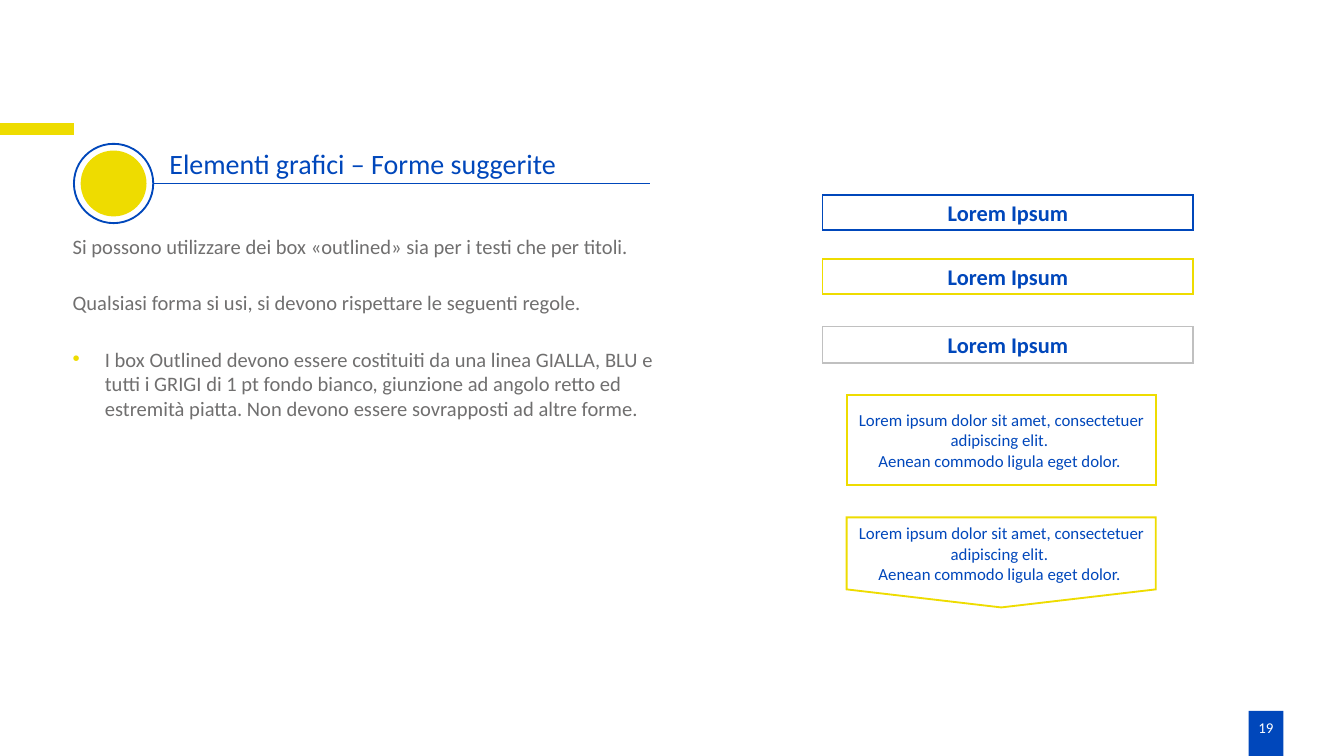
from lxml.etree import SubElement
from pptx import Presentation
from pptx.dml.color import RGBColor
from pptx.enum.shapes import MSO_CONNECTOR, MSO_SHAPE
from pptx.enum.text import MSO_ANCHOR, PP_ALIGN
from pptx.oxml.ns import qn
from pptx.util import Inches, Pt

BLUE = RGBColor(0x00, 0x47, 0xBB)
YELLOW = RGBColor(0xEE, 0xDC, 0x00)
GREY = RGBColor(0xC0, 0xC0, 0xC0)
TEXT_GREY = RGBColor(0x70, 0x6F, 0x6F)
WHITE = RGBColor(0xFF, 0xFF, 0xFF)

INTRO = [
    "Si possono utilizzare dei box «outlined» sia per i testi che per titoli.",
    "Qualsiasi forma si usi, si devono rispettare le seguenti regole.",
]
RULE = ("I box Outlined devono essere costituiti da una linea GIALLA, BLU e tutti i GRIGI "
        "di 1 pt fondo bianco, giunzione ad angolo retto ed estremità piatta. "
        "Non devono essere sovrapposti ad altre forme.")
CALLOUT = ["Lorem ipsum dolor sit amet, consectetuer adipiscing elit. ",
           "Aenean commodo ligula eget dolor. "]


def add_shape(slide, kind, box, fill=None, outline=None):
    shape = slide.shapes.add_shape(kind, *map(Inches, box))
    shape.shadow.inherit = False
    if fill is None:
        shape.fill.background()
    else:
        shape.fill.solid()
        shape.fill.fore_color.rgb = fill
    if outline is None:
        shape.line.fill.background()
    else:
        shape.line.color.rgb = outline
        shape.line.width = Pt(1)
        SubElement(shape.line._get_or_add_ln(), qn("a:miter"), lim="800000")
    return shape


def add_rule(slide, start, end, color, width):
    rule = slide.shapes.add_connector(MSO_CONNECTOR.STRAIGHT, *map(Inches, (*start, *end)))
    rule.line.color.rgb = color
    rule.line.width = Pt(width)
    SubElement(rule._element.spPr, qn("a:effectLst"))


def add_text_box(slide, box):
    frame = slide.shapes.add_textbox(*map(Inches, box)).text_frame
    frame.word_wrap = True
    set_insets(frame, 0, 0)
    return frame


def set_insets(frame, across, down):
    frame.margin_left = frame.margin_right = Inches(across)
    frame.margin_top = frame.margin_bottom = Inches(down)


def write(frame, lines, size, color, bold=False, align=PP_ALIGN.LEFT, gap=0):
    """Fill the frame with one paragraph per line, gap points apart."""
    frame.text = "\n".join(lines)
    for index, paragraph in enumerate(frame.paragraphs):
        paragraph.alignment = align
        if gap and index:
            paragraph.space_before = Pt(gap)
        font = paragraph.font
        font.name, font.size, font.bold = "Calibri", Pt(size), bold
        font.color.rgb = color


def add_bullet(paragraph, color, indent):
    properties = paragraph._p.get_or_add_pPr()
    properties.set("marL", str(Inches(indent)))
    properties.set("indent", str(-Inches(indent)))
    bullet_color = SubElement(properties, qn("a:buClr"))
    SubElement(bullet_color, qn("a:srgbClr"), val=str(color))
    SubElement(properties, qn("a:buFont"), typeface="Arial")
    SubElement(properties, qn("a:buChar"), char="•")
    default_font = properties.find(qn("a:defRPr"))
    if default_font is not None:
        properties.append(default_font)


def add_heading(slide, left, top, width, diameter):
    middle = top + diameter / 2
    title = add_text_box(slide, (left + diameter + 0.05, top - 0.02, 5.61, 0.33))
    set_insets(title, 0.07, 0.04)
    write(title, ["Elementi grafici – Forme suggerite"], 15, BLUE)
    add_rule(slide, (left + diameter, middle), (left + width, middle), BLUE, 1)
    add_shape(slide, MSO_SHAPE.OVAL, (left, top, diameter, diameter), WHITE, BLUE)
    ring = 0.05
    core = diameter - 2 * ring
    add_shape(slide, MSO_SHAPE.OVAL, (left + ring, top + ring, core, core), YELLOW)


def add_guidelines(slide, box):
    frame = add_text_box(slide, box)
    write(frame, [*INTRO, RULE], 11, TEXT_GREY, gap=17)
    add_bullet(frame.paragraphs[-1], YELLOW, 0.24)


def add_sample(slide, kind, box, fill, outline, lines, size, bold=False):
    """Add an outlined box with centred blue text."""
    frame = add_shape(slide, kind, box, fill, outline).text_frame
    frame.word_wrap = True
    frame.vertical_anchor = MSO_ANCHOR.MIDDLE
    set_insets(frame, 0.07, 0.04)
    write(frame, lines, size, BLUE, bold, PP_ALIGN.CENTER)


def add_title_samples(slide, left, width):
    for top, height, outline in ((1.45, 0.26, BLUE), (1.93, 0.26, YELLOW), (2.43, 0.27, GREY)):
        add_sample(slide, MSO_SHAPE.RECTANGLE, (left, top, width, height), WHITE, outline,
                   ["Lorem Ipsum"], 12, bold=True)


def add_callout_samples(slide, left, top, width, height, pitch):
    kinds = (MSO_SHAPE.RECTANGLE, MSO_SHAPE.FLOWCHART_OFFPAGE_CONNECTOR)
    for row, kind in enumerate(kinds):
        add_sample(slide, kind, (left, top + row * pitch, width, height), None, YELLOW,
                   CALLOUT, 9)


def add_page_number(slide, left, top, width, height):
    add_shape(slide, MSO_SHAPE.RECTANGLE, (left, top, width, height), BLUE)
    number = add_text_box(slide, (left + 0.01, top + 0.06, 0.21, 0.13))
    write(number, ["19"], 8, WHITE, align=PP_ALIGN.CENTER)
    number.paragraphs[0]._p.get_or_add_pPr().set("marL", str(Inches(0.03)))


def main():
    presentation = Presentation()
    presentation.slide_width = Inches(10)
    presentation.slide_height = presentation.slide_width * 9 // 16
    slide = presentation.slides.add_slide(presentation.slide_layouts[6])

    add_rule(slide, (0, 0.96), (0.55, 0.96), YELLOW, 6)
    add_page_number(slide, 9.29, 5.29, 0.26, 0.34)
    add_guidelines(slide, (0.54, 1.74, 4.45, 3.23))
    add_heading(slide, 0.55, 1.07, 4.29, 0.59)
    add_callout_samples(slide, 6.3, 2.94, 2.3, 0.67, 0.91)
    add_title_samples(slide, 6.12, 2.76)

    presentation.save("out.pptx")


if __name__ == "__main__":
    main()
